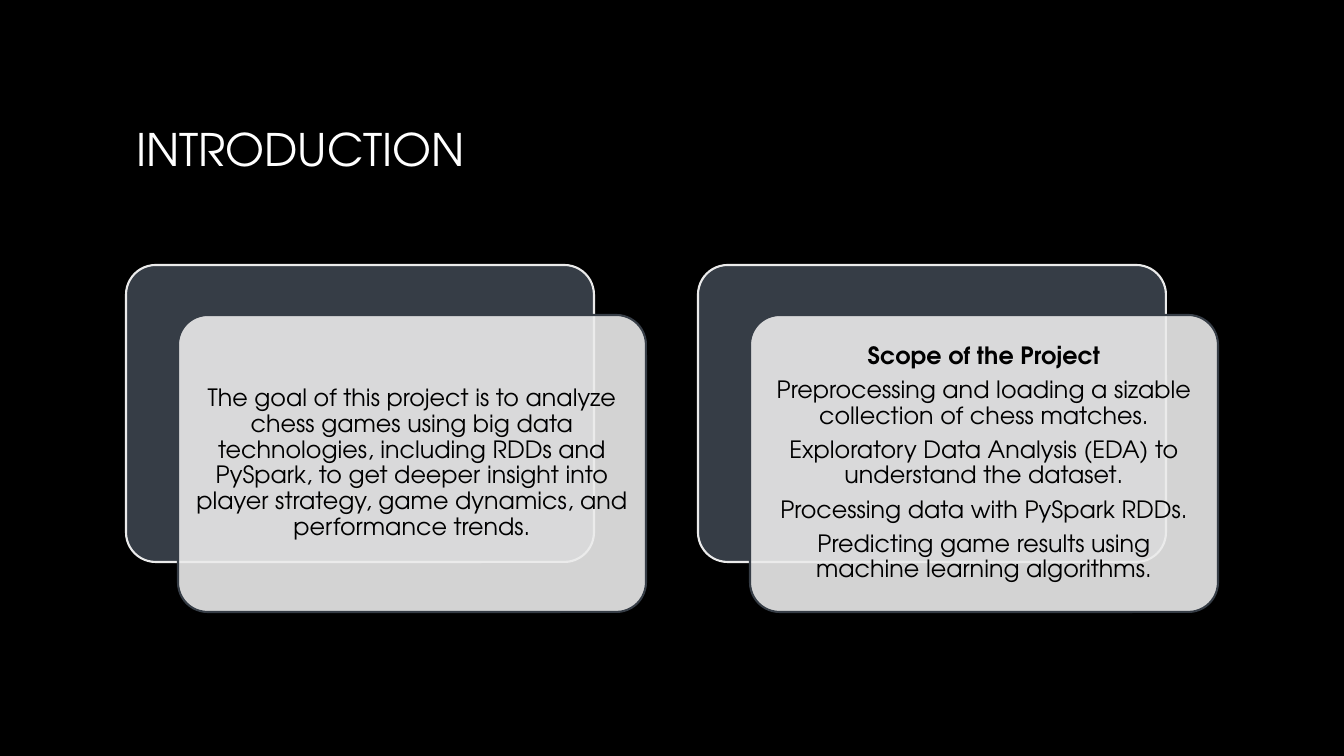
import pptx
import pptx.dml.color
import pptx.enum.shapes
import pptx.enum.text
import pptx.oxml.ns
import pptx.util
from lxml import etree

EMU_PER_PX = 914400 / 100.8
ALIGN = pptx.enum.text.PP_ALIGN

GOAL = [
    "The goal of this project is to analyze chess games using big data "
    "technologies, including RDDs and PySpark, to get deeper insight into "
    "player strategy, game dynamics, and performance trends.",
]
SCOPE_HEADING = "Scope of the Project"
SCOPE = [
    SCOPE_HEADING,
    "Preprocessing and loading a sizable collection of chess matches.",
    "Exploratory Data Analysis (EDA) to understand the dataset.",
    "Processing data with PySpark RDDs.",
    "Predicting game results using machine learning algorithms.",
]


def px(length):
    return pptx.util.Emu(round(length * EMU_PER_PX))


def rgb(hex_string):
    return pptx.dml.color.RGBColor.from_string(hex_string)


def write(paragraph, text, *, size, color, font, bold=False, align=ALIGN.LEFT,
          line_spacing=None, space_after=0):
    paragraph.alignment = align
    paragraph.line_spacing = line_spacing
    paragraph.space_after = pptx.util.Pt(space_after)
    run = paragraph.add_run()
    run.text = text
    run.font.name = font
    run.font.size = pptx.util.Pt(size)
    run.font.bold = bold
    run.font.color.rgb = rgb(color)


class IntroSlide:
    font = "TeX Gyre Adventor"
    background = "000000"
    title_color = "FFFFFF"
    slate = "363D46"
    pale = "EBEBEB"
    body_color = "000000"

    def __init__(self, deck):
        self.slide = deck.slides.add_slide(deck.slide_layouts[5])
        fill = self.slide.background.fill
        fill.solid()
        fill.fore_color.rgb = rgb(self.background)

    def title(self, text, left, top, width, height):
        heading = self.slide.shapes.title
        heading.left, heading.top = px(left), px(top)
        heading.width, heading.height = px(width), px(height)
        frame = heading.text_frame
        frame.word_wrap = True
        frame.vertical_anchor = pptx.enum.text.MSO_ANCHOR.MIDDLE
        write(frame.paragraphs[0], text, size=32, color=self.title_color,
              font=self.font)

    def panel(self, shapes, left, top, width, height, fill, line, opacity=100):
        panel = shapes.add_shape(
            pptx.enum.shapes.MSO_SHAPE.ROUNDED_RECTANGLE,
            px(left), px(top), px(width), px(height))
        panel.adjustments[0] = 0.1
        panel.shadow.inherit = False
        panel.fill.solid()
        panel.fill.fore_color.rgb = rgb(fill)
        panel.line.color.rgb = rgb(line)
        panel.line.width = pptx.util.Pt(1.5)
        if opacity < 100:
            qn = pptx.oxml.ns.qn
            tint = panel.fill._xPr.find(qn("a:solidFill")).find(qn("a:srgbClr"))
            etree.SubElement(tint, qn("a:alpha"), val=str(opacity * 1000))

    def body(self, shapes, left, top, width, height, lines):
        frame = shapes.add_textbox(
            px(left), px(top), px(width), px(height)).text_frame
        frame.word_wrap = True
        frame.vertical_anchor = pptx.enum.text.MSO_ANCHOR.MIDDLE
        frame.margin_left = frame.margin_right = px(7)
        frame.margin_top = frame.margin_bottom = px(7)
        for index, line in enumerate(lines):
            paragraph = frame.add_paragraph() if index else frame.paragraphs[0]
            write(paragraph, line, size=17, color=self.body_color,
                  font=self.font, bold=line == SCOPE_HEADING,
                  align=ALIGN.CENTER, line_spacing=0.9, space_after=6)

    def card(self, shapes, left, top, lines):
        """Draw a dark panel with a translucent text panel offset over it."""
        width, height = 468, 297
        front_left, front_top = left + 52, top + 50
        self.panel(shapes, left, top, width, height, self.slate, self.pale)
        self.panel(shapes, front_left, front_top, width, height,
                   self.pale, self.slate, opacity=90)
        inset = 9
        self.body(shapes, front_left + inset, front_top + inset,
                  width - 2 * inset, height - 2 * inset, lines)


def main():
    deck = pptx.Presentation()
    deck.slide_width, deck.slide_height = px(1344), px(756)
    intro = IntroSlide(deck)
    intro.title("INTRODUCTION", 126, 68, 1092, 162)
    cards = intro.slide.shapes.add_group_shape().shapes
    for column, lines in enumerate([GOAL, SCOPE]):
        intro.card(cards, 126 + 572 * column, 265, lines)
    deck.save("out.pptx")


if __name__ == "__main__":
    main()
